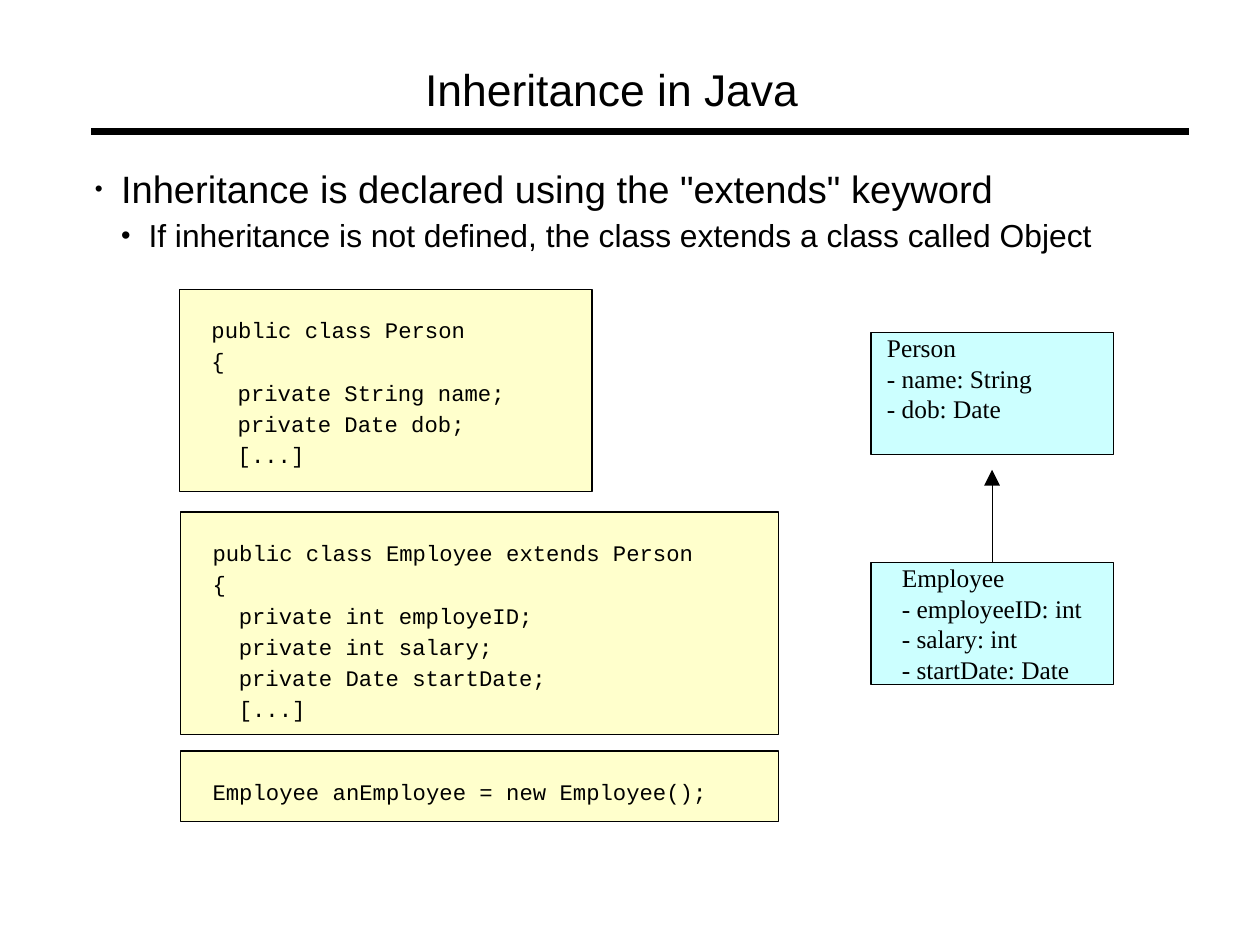
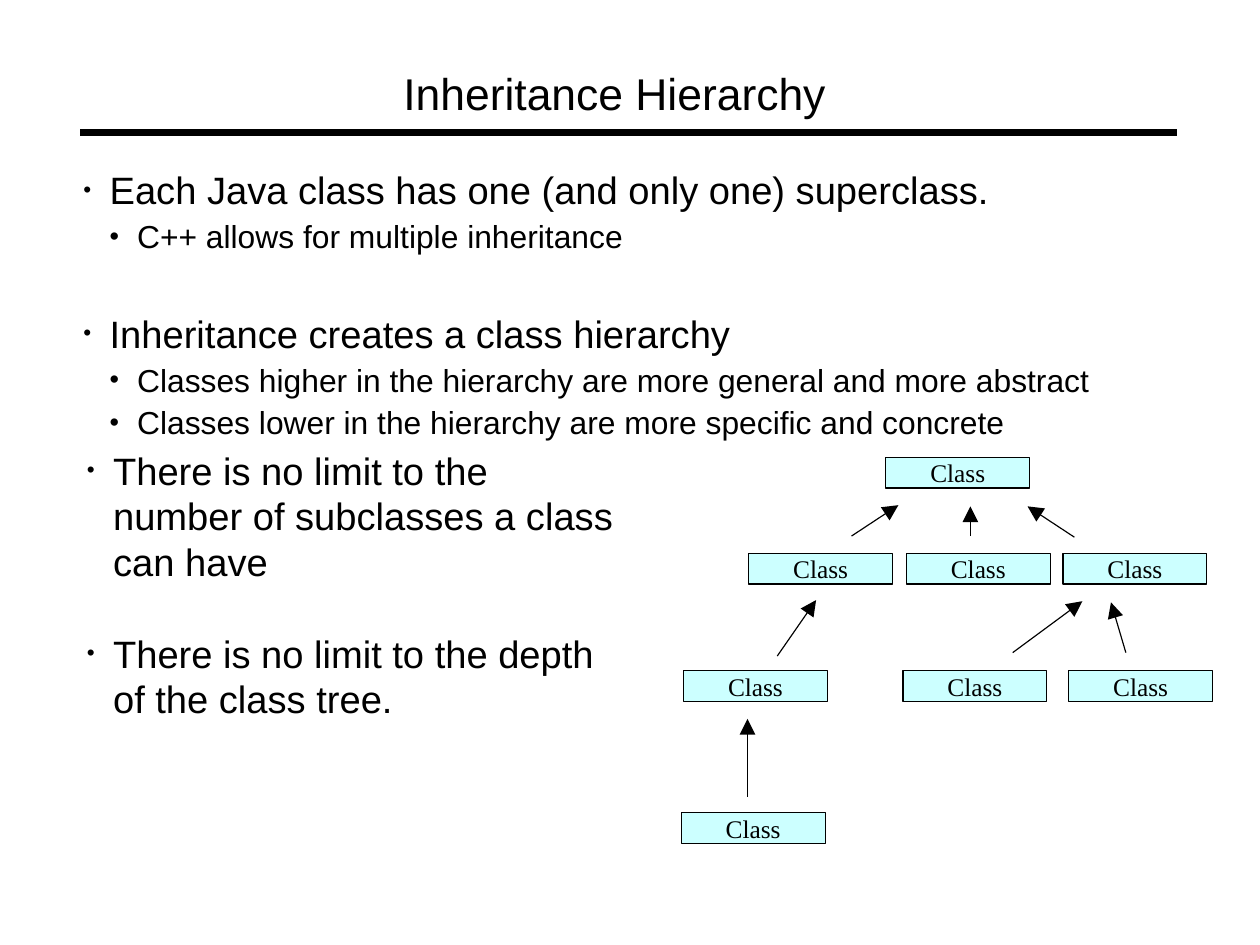
from lxml.etree import SubElement
from pptx import Presentation
from pptx.dml.color import RGBColor
from pptx.enum.shapes import MSO_CONNECTOR, MSO_SHAPE
from pptx.enum.text import MSO_ANCHOR, PP_ALIGN
from pptx.oxml.ns import qn
from pptx.util import Inches, Pt

COLORS = {"ink": "000000", "code": "FFFFCC", "class": "CCFFFF", "page": "FFFFFF"}
BODY_FONT, CODE_FONT, CLASS_FONT = "Arial", "Courier New", "Times New Roman"
CENTIMETERS_PER_INCH = 2.54
PARAGRAPH_GAP = 2.8
# For each outline level: text size, left margin, hanging indent, bullet percent
LEVELS = [(24, 0.23, 0.23, 59), (20, 0.47, 0.24, 85)]
CLASS_WIDTH, CLASS_HEIGHT = 1.26, 0.27


def color(name):
    return RGBColor.from_string(COLORS[name])


def write_paragraph(frame, text, size=16, font=BODY_FONT, before=0, left=0,
                    hanging=0, bullet_percent=None, align=PP_ALIGN.LEFT):
    """Put text in the frame's empty first paragraph, or in a new one."""
    first = frame.paragraphs[0]
    paragraph = frame.add_paragraph() if first.runs else first
    paragraph.alignment = align
    paragraph.space_before = Pt(before)
    run = paragraph.add_run()
    run.text = text
    run.font.size = Pt(size)
    run.font.name = font
    run.font.color.rgb = color("ink")
    properties = paragraph._p.get_or_add_pPr()
    properties.set("marL", str(Inches(left)))
    properties.set("indent", str(-Inches(hanging)))
    if bullet_percent:
        bullet_color = SubElement(properties, qn("a:buClr"))
        SubElement(bullet_color, qn("a:srgbClr"), val=COLORS["ink"])
        SubElement(properties, qn("a:buSzPct"), val=str(bullet_percent * 1000))
        SubElement(properties, qn("a:buFont"), typeface=font)
        SubElement(properties, qn("a:buChar"), char="•")


class Deck:
    """Holds the presentation and the slide being drawn."""

    def __init__(self):
        self.presentation = Presentation()
        self.presentation.slide_width = Inches(28 / CENTIMETERS_PER_INCH)
        self.presentation.slide_height = Inches(21 / CENTIMETERS_PER_INCH)
        self.slide = None

    def start_slide(self, title, title_left, title_top, rule_left, rule_top):
        self.slide = self.presentation.slides.add_slide(
            self.presentation.slide_layouts[6])
        background = self.slide.background.fill
        background.solid()
        background.fore_color.rgb = color("page")
        self.line((rule_left, rule_top), (rule_left + 9.6, rule_top), width=4.31)
        frame = self.text_frame(title_left, title_top, 4.6, 0.47)
        write_paragraph(frame, title, size=28)

    def set_insets(self, frame, left=0, top=0):
        frame.word_wrap = True
        frame.margin_left, frame.margin_top = Inches(left), Inches(top)
        frame.margin_right = frame.margin_bottom = 0

    def text_frame(self, left, top, width, height):
        shape = self.slide.shapes.add_textbox(
            Inches(left), Inches(top), Inches(width), Inches(height))
        self.set_insets(shape.text_frame)
        return shape.text_frame

    def bullets(self, left, top, width, height, items):
        """Each item is (level, text) or (level, text, points before)."""
        frame = self.text_frame(left, top, width, height)
        for level, text, *gap in items:
            size, margin, hanging, percent = LEVELS[level]
            write_paragraph(frame, text, size=size, left=margin, hanging=hanging,
                            bullet_percent=percent,
                            before=gap[0] if gap else PARAGRAPH_GAP)

    def box(self, left, top, width, height, fill, inset_left=0, inset_top=0,
            anchor=MSO_ANCHOR.TOP):
        shape = self.slide.shapes.add_shape(
            MSO_SHAPE.RECTANGLE,
            Inches(left), Inches(top), Inches(width), Inches(height))
        shape.shadow.inherit = False
        shape.fill.solid()
        shape.fill.fore_color.rgb = color(fill)
        shape.line.color.rgb = color("ink")
        shape.line.width = Pt(0.75)
        self.set_insets(shape.text_frame, inset_left, inset_top)
        shape.text_frame.vertical_anchor = anchor
        return shape.text_frame

    def code_box(self, left, top, width, height, lines):
        """Each line is (indent level, text)."""
        frame = self.box(left, top, width, height, "code", 0.28, 0.24)
        for level, text in lines:
            write_paragraph(frame, text, size=14, font=CODE_FONT,
                            before=PARAGRAPH_GAP, left=0.23 * level)

    def class_details(self, top, inset, lines):
        frame = self.box(7.62, top, 2.12, 1.07, "class", inset)
        for text in lines:
            write_paragraph(frame, text, font=CLASS_FONT)

    def class_node(self, left, top):
        frame = self.box(left, top, CLASS_WIDTH, CLASS_HEIGHT, "class",
                         anchor=MSO_ANCHOR.MIDDLE)
        write_paragraph(frame, "Class", font=CLASS_FONT, align=PP_ALIGN.CENTER)

    def line(self, start, end, width=0.75, arrow=False):
        connector = self.slide.shapes.add_connector(
            MSO_CONNECTOR.STRAIGHT, *map(Inches, start + end))
        connector.line.color.rgb = color("ink")
        connector.line.width = Pt(width)
        properties = connector._element.spPr
        if arrow:
            SubElement(properties.find(qn("a:ln")), qn("a:tailEnd"),
                       type="triangle", w="lg", len="lg")
        SubElement(properties, qn("a:effectLst"))


def draw_inheritance_in_java(deck):
    deck.start_slide("Inheritance in Java", 3.72, 0.54, 0.8, 1.15)
    deck.bullets(0.83, 1.45, 9.37, 1.14, [
        (0, "Inheritance is declared using the \"extends\" keyword"),
        (1, "If inheritance is not defined, the class extends a class called Object"),
    ])
    deck.class_details(2.91, 0.14, ["Person", "- name: String", "- dob: Date"])
    deck.line((8.68, 5.01), (8.68, 4.11), arrow=True)
    deck.class_details(4.92, 0.27, [
        "Employee", "- employeeID: int", "- salary: int", "- startDate: Date"])
    deck.code_box(1.57, 2.53, 3.61, 1.77, [
        (0, "public class Person"),
        (0, "{"),
        (1, "private String name;"),
        (1, "private Date dob;"),
        (1, "[...]"),
    ])
    deck.code_box(1.58, 4.48, 5.23, 1.95, [
        (0, "public class Employee extends Person"),
        (0, "{"),
        (1, "private int employeID;"),
        (1, "private int salary;"),
        (1, "private Date startDate;"),
        (1, "[...]"),
    ])
    deck.code_box(1.58, 6.57, 5.23, 0.62, [
        (0, "Employee anEmployee = new Employee();")])


def draw_inheritance_hierarchy(deck):
    deck.start_slide("Inheritance Hierarchy", 3.53, 0.58, 0.7, 1.16)
    deck.bullets(0.73, 1.46, 9.37, 2.39, [
        (0, "Each Java class has one (and only one) superclass."),
        (1, "C++ allows for multiple inheritance"),
        (0, "Inheritance creates a class hierarchy", 34.6),
        (1, "Classes higher in the hierarchy are more general and more abstract"),
        (1, "Classes lower in the hierarchy are more specific and concrete"),
    ])
    deck.bullets(0.76, 3.91, 4.72, 2.41, [
        (0, "There is no limit to the number of subclasses a class can have"),
        (0, "There is no limit to the depth of the class tree.", 29),
    ])
    tree_rows = [
        (4, [7.75]),
        (4.84, [6.55, 7.93, 9.3]),
        (5.87, [5.98, 7.9, 9.35]),
        (7.11, [5.96]),
    ]
    for top, lefts in tree_rows:
        for left in lefts:
            deck.class_node(left, top)
    subclass_arrows = [
        ((7.45, 4.69), (7.86, 4.42)),
        ((8.49, 4.69), (8.49, 4.43)),
        ((9.4, 4.7), (8.99, 4.43)),
        ((6.8, 5.74), (7.14, 5.25)),
        ((8.86, 5.71), (9.47, 5.26)),
        ((9.85, 5.71), (9.72, 5.27)),
        ((6.54, 6.97), (6.54, 6.29)),
    ]
    for start, end in subclass_arrows:
        deck.line(start, end, arrow=True)


def main():
    deck = Deck()
    draw_inheritance_in_java(deck)
    draw_inheritance_hierarchy(deck)
    deck.presentation.save("out.pptx")


if __name__ == "__main__":
    main()
